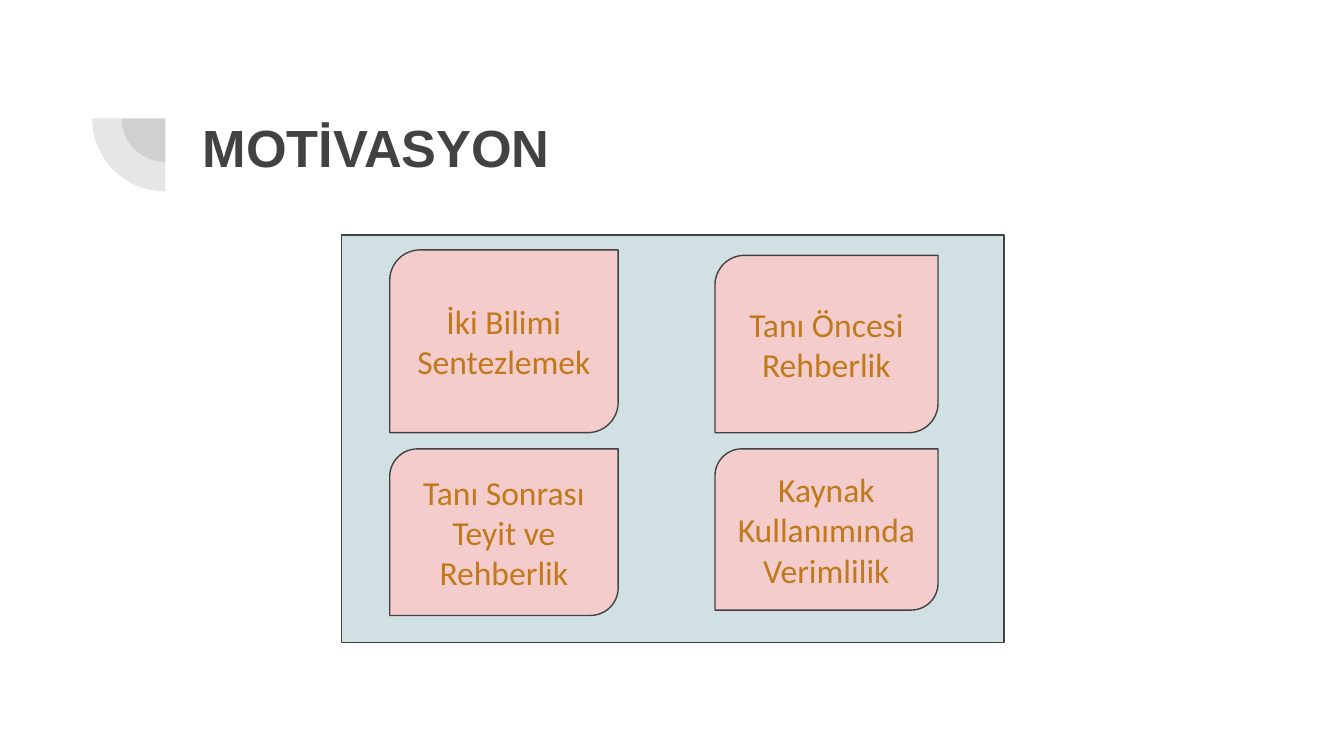
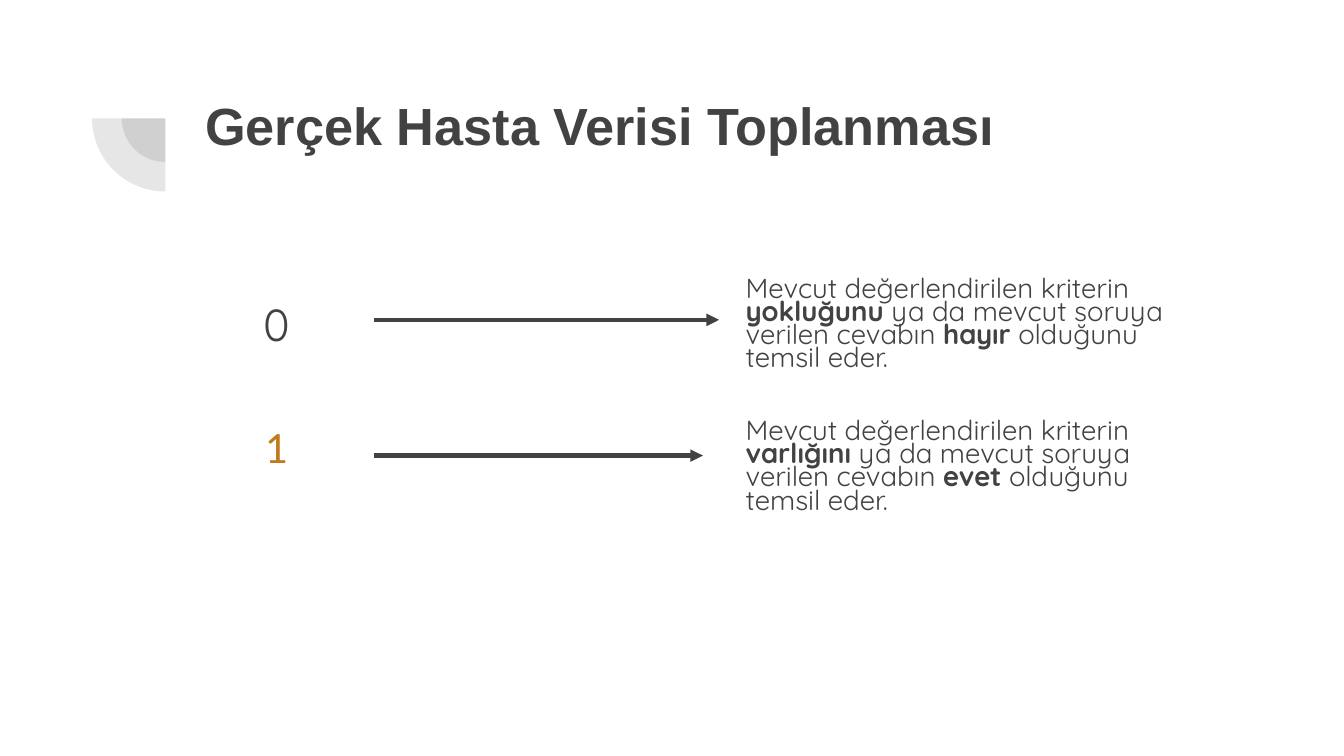
import dataclasses

import lxml.etree
import pptx
import pptx.dml.color
import pptx.enum.shapes
import pptx.enum.text
import pptx.oxml.ns
import pptx.util

Inches = pptx.util.Inches
Pt = pptx.util.Pt
SHAPE = pptx.enum.shapes.MSO_SHAPE
ALIGN = pptx.enum.text.PP_ALIGN
ANCHOR = pptx.enum.text.MSO_ANCHOR


@dataclasses.dataclass(frozen=True)
class Theme:
    """Colours, fonts and type sizes of the deck."""
    ink: str = "424242"
    ochre: str = "C0791B"
    panel: str = "D0E0E3"
    tile: str = "F4CCCC"
    background: str = "FFFFFF"
    heading_font: str = "Arial"
    tile_font: str = "Calibri"
    body_font: str = "Quicksand"
    heading_size: float = 28
    code_size: float = 24
    tile_size: float = 18
    body_size: float = 14.8


THEME = Theme()


def rgb(value):
    """Turn a hex string into a colour."""
    return pptx.dml.color.RGBColor.from_string(value)


def add_xml(parent, tag, **attributes):
    """Append a DrawingML element to a parent element."""
    return lxml.etree.SubElement(parent, pptx.oxml.ns.qn(tag), **attributes)


def write(frame, text, *, font, size, color=THEME.ink, bold=False, align=ALIGN.LEFT,
          anchor=ANCHOR.TOP, spacing=1.0, after=0):
    """Fill a text frame; parts between double asterisks are bold."""
    frame.word_wrap = True
    frame.vertical_anchor = anchor
    frame.margin_left = frame.margin_right = Inches(0.1)
    frame.margin_top = frame.margin_bottom = Inches(0.1)
    paragraph = frame.paragraphs[0]
    paragraph.alignment = align
    paragraph.line_spacing = spacing
    paragraph.space_after = Pt(after)
    for index, part in enumerate(text.split("**")):
        run = paragraph.add_run()
        run.text = part
        run.font.name = font
        run.font.size = Pt(size)
        run.font.bold = bold or index % 2 == 1
        run.font.color.rgb = rgb(color)


def add_text(slide, box, text, **style):
    """Place a text box at left, top, width, height in inches."""
    write(slide.shapes.add_textbox(*map(Inches, box)).text_frame, text, **style)


def add_block(slide, preset, box, fill, outlined=True):
    """Place a filled preset shape, with or without a thin outline."""
    block = slide.shapes.add_shape(preset, *map(Inches, box))
    block.shadow.inherit = False
    block.fill.solid()
    block.fill.fore_color.rgb = rgb(fill)
    if outlined:
        block.line.color.rgb = rgb(THEME.ink)
        block.line.width = Pt(0.75)
    else:
        block.line.fill.background()
    return block


def add_arrow(slide, left, right, y):
    """Draw a horizontal arrow pointing right."""
    arrow = slide.shapes.add_connector(
        pptx.enum.shapes.MSO_CONNECTOR.STRAIGHT,
        Inches(left), Inches(y), Inches(right), Inches(y))
    arrow.line.color.rgb = rgb(THEME.ink)
    arrow.line.width = Pt(2.25)
    properties = arrow._element.spPr
    add_xml(properties.find(pptx.oxml.ns.qn("a:ln")), "a:tailEnd", type="triangle")
    add_xml(properties, "a:effectLst")


def corner_ornament(slide, center_x, center_y):
    """Draw two concentric translucent quarter discs."""
    for diameter in (0.65, 1.09):
        box = (center_x - diameter / 2, center_y - diameter / 2, diameter, diameter)
        quarter = add_block(slide, SHAPE.PIE, box, THEME.ink, outlined=False)
        quarter.adjustments[0] = 107.93
        quarter.adjustments[1] = 162
        quarter.rotation = 270
        solid = quarter._element.spPr.find(pptx.oxml.ns.qn("a:solidFill"))
        add_xml(solid[0], "a:alpha", val="13000")


def titled_slide(deck, title, left, top):
    """Add a slide with the shared background, ornament and title."""
    slide = deck.slides.add_slide(deck.slide_layouts[6])
    slide.background.fill.solid()
    slide.background.fill.fore_color.rgb = rgb(THEME.background)
    corner_ornament(slide, 1.23, 0.88)
    add_text(slide, (left, top, 7.69, 1.09), title, font=THEME.heading_font,
             size=THEME.heading_size, bold=True, spacing=0.9)
    return slide


def motivation_panel(slide, box, goals):
    """Lay out goal tiles in two columns that meet at a horizontal gap."""
    left, top = box[:2]
    add_block(slide, SHAPE.FLOWCHART_PROCESS, box, THEME.panel)
    for index, goal in enumerate(goals):
        row, column = divmod(index, 2)
        shrink = 0.04 * column
        height = (1.36, 1.24)[row] - shrink
        tile_top = top + (1.59 if row else 1.47 - height)
        tile = add_block(slide, SHAPE.ROUND_2_DIAG_RECTANGLE,
                         (left + 0.36 + 2.42 * column, tile_top, 1.7 - shrink, height),
                         THEME.tile)
        write(tile.text_frame, goal, font=THEME.tile_font, size=THEME.tile_size,
              color=THEME.ochre, align=ALIGN.CENTER, anchor=ANCHOR.MIDDLE)


def code_row(slide, box, code, meaning, code_offset, arrow, code_style):
    """Place a code, an arrow and the meaning of the code side by side."""
    left, top, width, height = box
    code_left, code_top = code_offset
    arrow_end, arrow_y = arrow
    add_text(slide, (left + code_left, top + code_top, 0.36, 0.47), code,
             size=THEME.code_size, spacing=0.9, after=12, **code_style)
    add_arrow(slide, left + 0.92, left + arrow_end, top + arrow_y)
    add_text(slide, (left + width - 3.34, top, 3.34, height), meaning,
             font=THEME.body_font, size=THEME.body_size, spacing=0.7, after=12)


def motivation_slide(deck):
    """Build the slide on motivation."""
    slide = titled_slide(deck, "MOTİVASYON", 1.41, 0.81)
    motivation_panel(slide, (2.54, 1.75, 4.93, 3.03), (
        "İki Bilimi Sentezlemek", "Tanı Öncesi Rehberlik",
        "Tanı Sonrası Teyit ve Rehberlik", "Kaynak Kullanımında Verimlilik"))


def patient_data_slide(deck):
    """Build the slide on how patient answers are coded."""
    slide = titled_slide(deck, "Gerçek Hasta Verisi Toplanması", 1.43, 0.65)
    meaning = ("Mevcut değerlendirilen kriterin **{}** ya da mevcut soruya "
               "verilen cevabın **{}** olduğunu temsil eder.")
    code_row(slide, (1.86, 1.98, 6.93, 0.93), "0", meaning.format("yokluğunu", "hayır"),
             (0, 0.17), (3.49, 0.4), {"font": THEME.body_font})
    code_row(slide, (1.86, 3.04, 6.93, 0.93), "1", meaning.format("varlığını", "evet"),
             (0.01, 0.02), (3.37, 0.35), {"font": THEME.tile_font, "color": THEME.ochre})


def main():
    """Build and save the deck in 16:9 format."""
    deck = pptx.Presentation()
    deck.slide_width = Inches(10)
    deck.slide_height = Inches(10 * 9 / 16)
    motivation_slide(deck)
    patient_data_slide(deck)
    deck.save("out.pptx")


if __name__ == "__main__":
    main()
